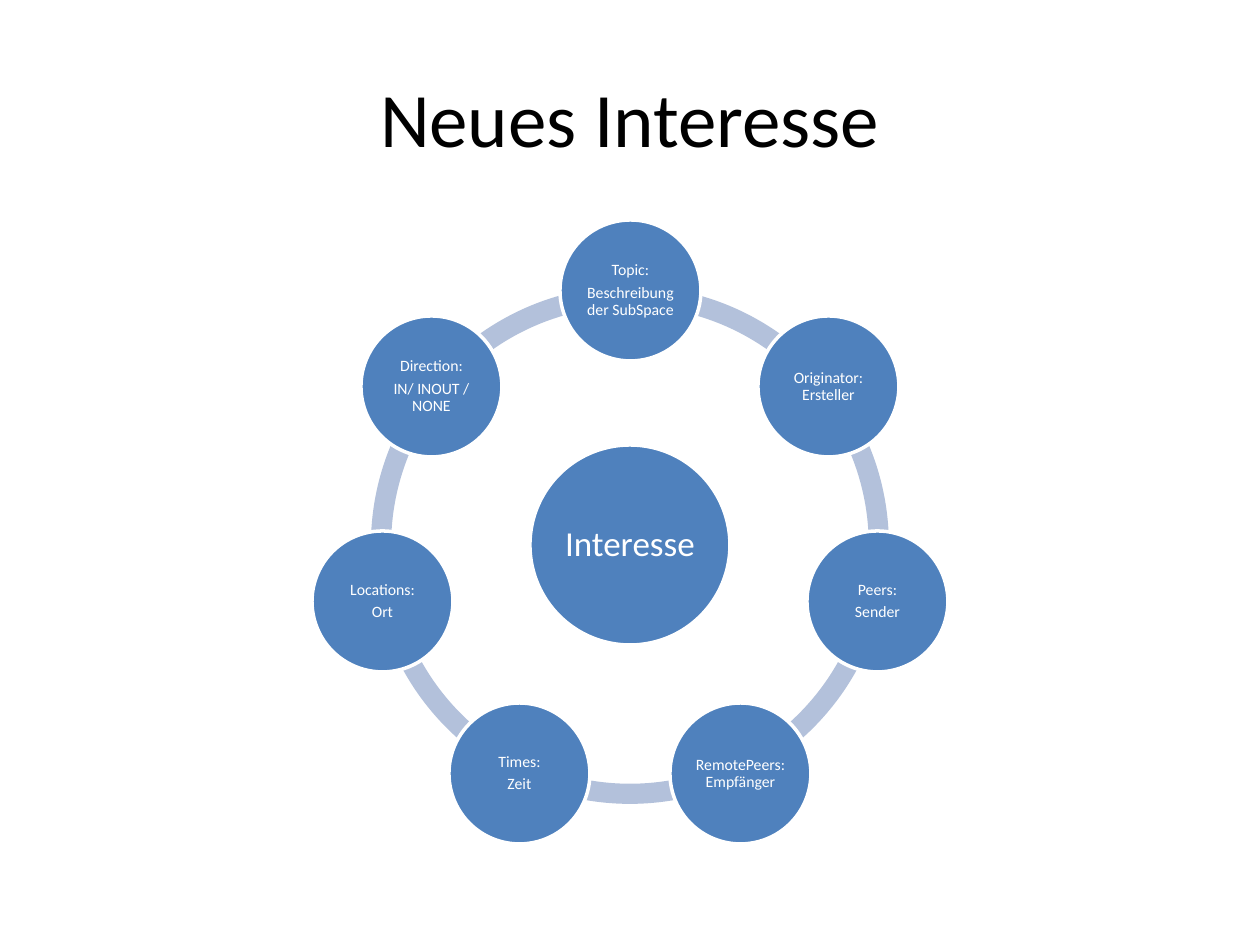
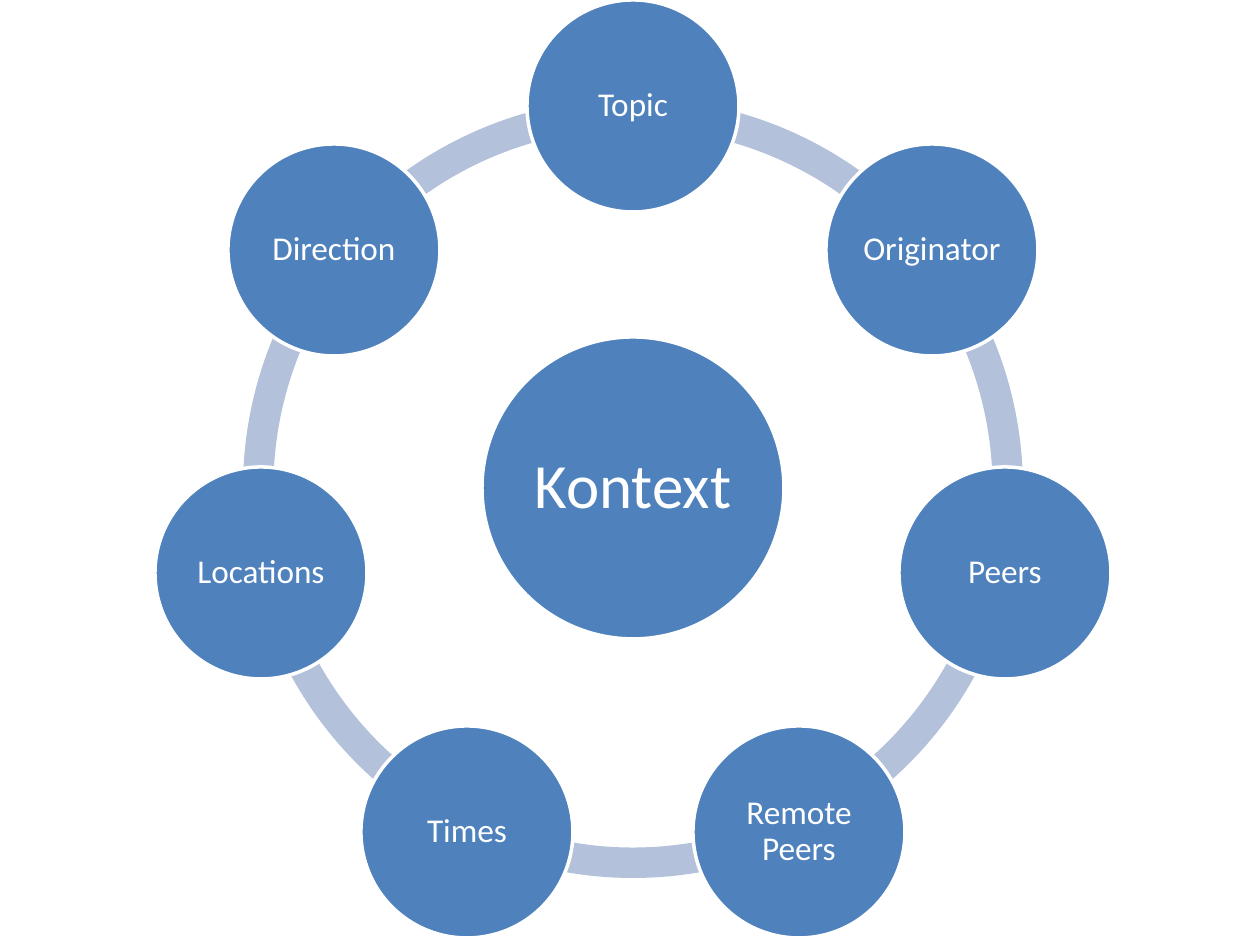
"""Build two slides, each with a ring of attributes around a central concept."""
import math

import pptx
import pptx.dml.color
import pptx.enum.shapes
import pptx.enum.text
import pptx.util

PX = 914400 / 126
FONT = "Calibri"
BLACK = pptx.dml.color.RGBColor(0x00, 0x00, 0x00)
WHITE = pptx.dml.color.RGBColor(0xFF, 0xFF, 0xFF)
BLUE = pptx.dml.color.RGBColor(0x4F, 0x81, 0xBD)
PALE_BLUE = pptx.dml.color.RGBColor(0xB3, 0xC1, 0xDB)
SHAPES = pptx.enum.shapes.MSO_SHAPE
CENTER = pptx.enum.text.PP_ALIGN.CENTER
MIDDLE = pptx.enum.text.MSO_ANCHOR.MIDDLE
FULL_TURN = 216
ARC_THICKNESS = 0.039


def add_round(slide, preset, center_x, center_y, diameter, color):
    left, top = center_x - diameter / 2, center_y - diameter / 2
    box = [pptx.util.Emu(round(round(length) * PX)) for length in (left, top, diameter, diameter)]
    figure = slide.shapes.add_shape(preset, *box)
    figure.shadow.inherit = False
    figure.fill.solid()
    figure.fill.fore_color.rgb = color
    figure.line.fill.background()
    return figure


def add_circle(slide, center_x, center_y, diameter, label, size, inset):
    circle = add_round(slide, SHAPES.OVAL, center_x, center_y, diameter, BLUE)
    circle.line.color.rgb = WHITE
    circle.line.width = pptx.util.Pt(2)
    frame = circle.text_frame
    margin = pptx.util.Emu(round(inset * PX))
    frame_format = {"word_wrap": True, "vertical_anchor": MIDDLE, "margin_left": margin,
                    "margin_right": margin, "margin_top": margin, "margin_bottom": margin}
    for name, value in frame_format.items():
        setattr(frame, name, value)
    frame.text = label
    paragraph_format = {"alignment": CENTER, "line_spacing": 0.9,
                        "space_after": pptx.util.Pt(0.35 * size)}
    for paragraph in frame.paragraphs:
        for name, value in paragraph_format.items():
            setattr(paragraph, name, value)
        paragraph.font.name = FONT
        paragraph.font.size = pptx.util.Pt(size)
        paragraph.font.color.rgb = WHITE


rings = [
    {"title": "Neues Interesse", "hub": "Interesse", "center": (630, 545), "orbit": 254,
     "ring": 518, "hub_style": (200, 20, 4), "attribute_style": (141, 9, 1),
     "attributes": ["Topic:\nBeschreibung der SubSpace", "Originator: Ersteller",
                    "Peers:\nSender", "RemotePeers: Empfänger", "Times:\nZeit",
                    "Locations:\nOrt", "Direction:\nIN/ INOUT / NONE"]},
    {"title": None, "hub": "Kontext", "center": (633, 488), "orbit": 382,
     "ring": 780, "hub_style": (302, 36, 6), "attribute_style": (212, 19, 4),
     "attributes": ["Topic", "Originator", "Peers", "Remote Peers", "Times",
                    "Locations", "Direction"]},
]

deck = pptx.Presentation()
deck.slide_width = pptx.util.Emu(round(1260 * PX))
deck.slide_height = pptx.util.Emu(round(945 * PX))

for ring in rings:
    slide = deck.slides.add_slide(deck.slide_layouts[5 if ring["title"] else 6])
    if ring["title"]:
        heading = slide.shapes.title
        heading_box = {"left": 63, "top": 38, "width": 1134, "height": 158}
        for name, length in heading_box.items():
            setattr(heading, name, pptx.util.Emu(round(length * PX)))
        heading.text_frame.text = ring["title"]
        heading.text_frame.vertical_anchor = MIDDLE
        heading_text = heading.text_frame.paragraphs[0]
        heading_text.alignment = CENTER
        heading_text.font.name = FONT
        heading_text.font.size = pptx.util.Pt(44)
        heading_text.font.color.rgb = BLACK

    center_x, center_y = ring["center"]
    step = 1 / len(ring["attributes"])
    for index in range(len(ring["attributes"])):
        arc = add_round(slide, SHAPES.BLOCK_ARC, center_x, center_y, ring["ring"], PALE_BLUE)
        arc.adjustments[0] = (0.75 + index * step) % 1 * FULL_TURN
        arc.adjustments[1] = (0.75 + (index + 1) * step) % 1 * FULL_TURN
        arc.adjustments[2] = ARC_THICKNESS

    hub_diameter, hub_size, hub_inset = ring["hub_style"]
    add_circle(slide, center_x, center_y, hub_diameter, ring["hub"], hub_size, hub_inset)

    diameter, size, inset = ring["attribute_style"]
    for index, attribute in enumerate(ring["attributes"]):
        angle = math.tau * index * step
        attribute_x = center_x + ring["orbit"] * math.sin(angle)
        attribute_y = center_y - ring["orbit"] * math.cos(angle)
        add_circle(slide, attribute_x, attribute_y, diameter, attribute, size, inset)

deck.save("out.pptx")
